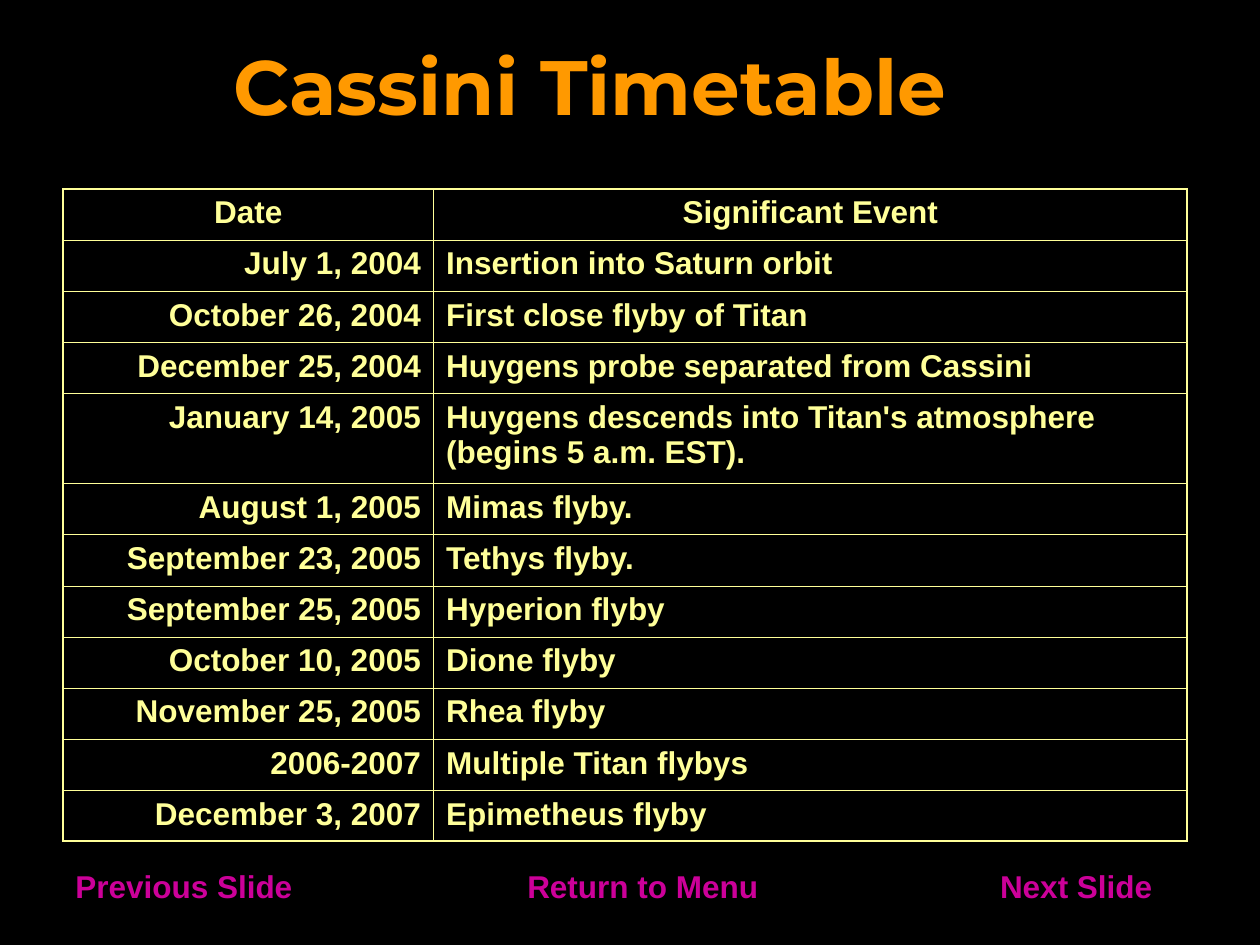
"""Build the Cassini timetable slide."""
from dataclasses import dataclass

from lxml import etree
from pptx import Presentation
from pptx import util as u
from pptx.dml.color import RGBColor
from pptx.enum import text
from pptx.oxml import ns

BLACK, YELLOW, ORANGE, MAGENTA = "000000", "FFFF99", "FF9900", "CC0099"
THIN, THICK = 0.45, 1.08
COLUMN_WIDTHS = (7.47, 15.19)
LINE_ROW, TWO_LINE_ROW = 1.03, 1.82
CENTER, LEFT, RIGHT = text.PP_ALIGN.CENTER, text.PP_ALIGN.LEFT, text.PP_ALIGN.RIGHT


@dataclass
class Event:
    date: str
    description: str
    height: float = LINE_ROW


@dataclass
class NavigationLabel:
    caption: str
    left: float
    width: float


EVENTS = [
    Event("Date", "Significant Event"),
    Event("July 1, 2004", "Insertion into Saturn orbit"),
    Event("October 26, 2004", "First close flyby of Titan"),
    Event("December 25, 2004", "Huygens probe separated from Cassini"),
    Event("January 14, 2005",
          "Huygens descends into Titan's atmosphere (begins 5 a.m. EST).", TWO_LINE_ROW),
    Event("August 1, 2005", "Mimas flyby."),
    Event("September 23, 2005", "Tethys flyby."),
    Event("September 25, 2005", "Hyperion flyby"),
    Event("October 10, 2005", "Dione flyby"),
    Event("November 25, 2005", "Rhea flyby"),
    Event("2006-2007", "Multiple Titan flybys"),
    Event("December 3, 2007", "Epimetheus flyby"),
]
NAVIGATION = [
    NavigationLabel("Previous Slide", 1.27, 4.88),
    NavigationLabel("Return to Menu", 10.38, 5.16),
    NavigationLabel("Next Slide", 19.91, 3.58),
]


def color(value: str) -> RGBColor:
    return RGBColor.from_string(value)


def write(text_frame, content: str, shade: str, alignment=LEFT,
          size: float = 18, font_name: str = "Arial") -> None:
    text_frame.text = content
    paragraph = text_frame.paragraphs[0]
    paragraph.alignment = alignment
    font = paragraph.runs[0].font
    font.name, font.size, font.bold = font_name, u.Pt(size), True
    font.color.rgb = color(shade)


def add_border(cell, side: str, width: float) -> None:
    properties = cell._tc.get_or_add_tcPr()
    line = etree.SubElement(properties, ns.qn(f"a:ln{side}"), w=str(u.Pt(width)))
    fill = etree.SubElement(line, ns.qn("a:solidFill"))
    etree.SubElement(fill, ns.qn("a:srgbClr"), val=YELLOW)


def add_title(slide) -> None:
    title = slide.shapes.title
    title.left, title.top = u.Cm(4.45), u.Cm(0.64)
    title.width, title.height = u.Cm(16.71), u.Cm(2.54)
    title.text_frame.vertical_anchor = text.MSO_ANCHOR.TOP
    title.text_frame.auto_size = text.MSO_AUTO_SIZE.NONE
    write(title.text_frame, "Cassini Timetable", ORANGE, size=44, font_name="Montserrat")


def add_timetable(slide, events: list[Event]) -> None:
    frame = slide.shapes.add_table(
        len(events), len(COLUMN_WIDTHS), u.Cm(1.27), u.Cm(3.81),
        u.Cm(sum(COLUMN_WIDTHS)), u.Cm(sum(event.height for event in events)))
    table = frame.table
    table.first_row = table.horz_banding = False
    for column, width in zip(table.columns, COLUMN_WIDTHS):
        column.width = u.Cm(width)
    last_row, last_column = len(events) - 1, len(COLUMN_WIDTHS) - 1
    for row, event in enumerate(events):
        table.rows[row].height = u.Cm(event.height)
        for column, content in enumerate((event.date, event.description)):
            cell = table.cell(row, column)
            alignment = CENTER if row == 0 else (RIGHT, LEFT)[column]
            write(cell.text_frame, content, YELLOW, alignment)
            outer_sides = {"L": column == 0, "R": column == last_column,
                           "T": row == 0, "B": row == last_row}
            for side, is_outer in outer_sides.items():
                add_border(cell, side, THICK if is_outer else THIN)
            cell.fill.background()


def add_navigation(slide, label: NavigationLabel) -> None:
    shape = slide.shapes.add_textbox(
        u.Cm(label.left), u.Cm(17.35), u.Cm(label.width), u.Cm(1.02))
    shape.text_frame.word_wrap = False
    write(shape.text_frame, label.caption, MAGENTA)


def main() -> None:
    presentation = Presentation()
    presentation.slide_width, presentation.slide_height = u.Cm(25.4), u.Cm(19.05)
    slide = presentation.slides.add_slide(presentation.slide_layouts[5])
    slide.background.fill.solid()
    slide.background.fill.fore_color.rgb = color(BLACK)
    for label in NAVIGATION:
        add_navigation(slide, label)
    add_timetable(slide, EVENTS)
    add_title(slide)
    presentation.save("out.pptx")


if __name__ == "__main__":
    main()
